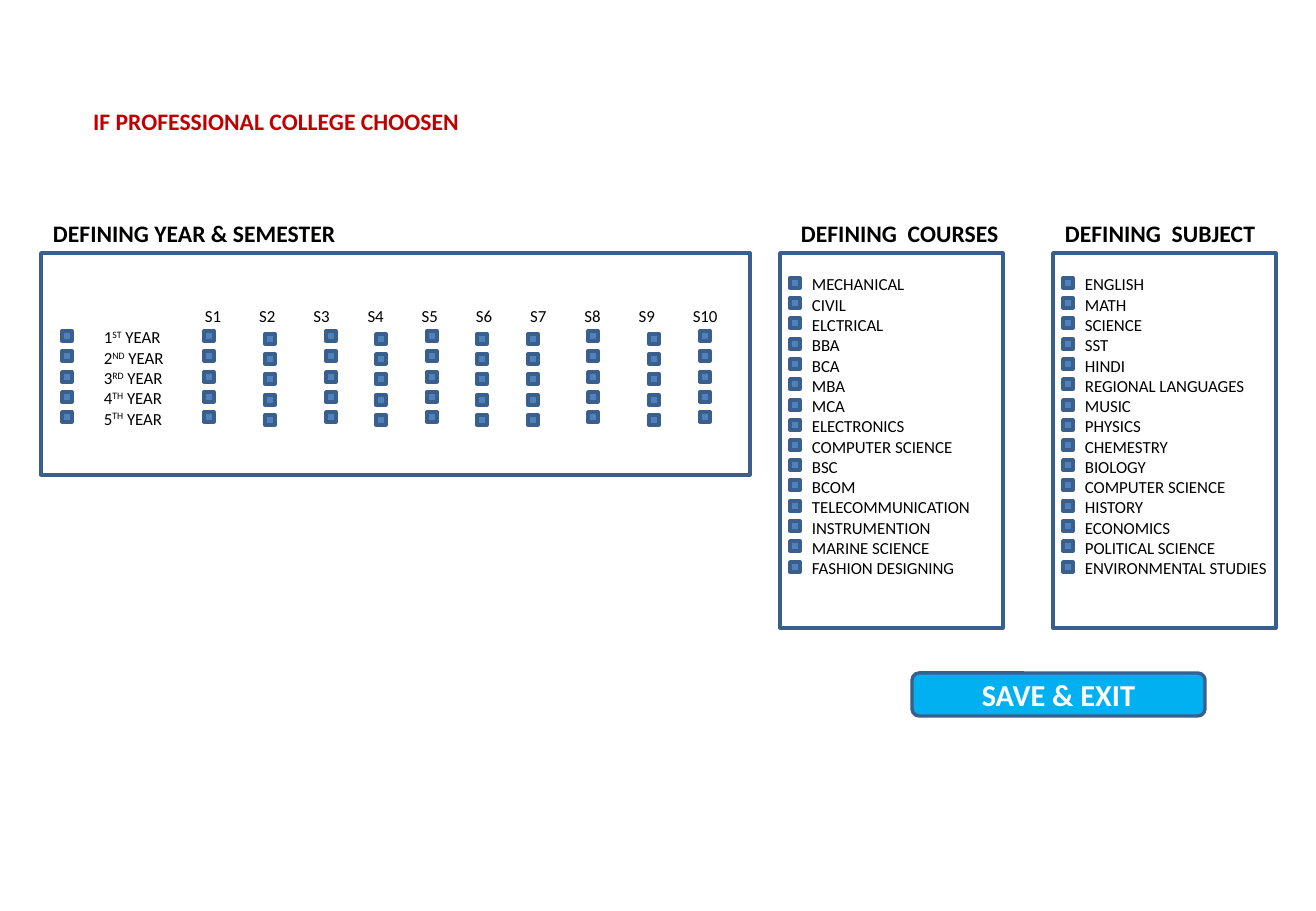
from pptx import Presentation
from pptx.dml.color import RGBColor
from pptx.enum.shapes import MSO_SHAPE
from pptx.enum.text import MSO_ANCHOR, MSO_AUTO_SIZE, PP_ALIGN
from pptx.util import Emu, Pt
from lxml.etree import SubElement
from pptx.oxml.ns import qn

EMU_PER_PX = 914400 / 121.5
COLORS = {"black": "000000", "white": "FFFFFF", "red": "C00000",
          "border": "3A5F8C", "check": "4F81BD", "button": "00B0F0"}
ROW_STEP = 20.25
CHECK_SIZE = 10


def px(value):
    return Emu(round(value * EMU_PER_PX))


def rgb(name):
    return RGBColor.from_string(COLORS[name])


class FormSlide:
    font_name = "Calibri"

    def __init__(self, deck):
        self.slide = deck.slides.add_slide(deck.slide_layouts[5])

    def format_text(self, frame, size, color, bold=False, align=PP_ALIGN.LEFT):
        for paragraph in frame.paragraphs:
            paragraph.alignment = align
            for run in paragraph.runs:
                run.font.name = self.font_name
                run.font.size = Pt(size)
                run.font.bold = bold
                run.font.color.rgb = rgb(color)

    def title(self, text, left, top, width, height):
        heading = self.slide.shapes.title
        heading.left, heading.top = px(left), px(top)
        heading.width, heading.height = px(width), px(height)
        frame = heading.text_frame
        frame.text = text
        frame.word_wrap = True
        frame.auto_size = MSO_AUTO_SIZE.NONE
        frame.vertical_anchor = MSO_ANCHOR.TOP
        self.format_text(frame, 14, "red", bold=True)

    def text(self, text, left, top, width, height, size=10, bold=False):
        label = self.slide.shapes.add_textbox(px(left), px(top), px(width), px(height))
        frame = label.text_frame
        frame.word_wrap = True
        frame.text = text
        self.format_text(frame, size, "black", bold)
        return frame

    def tabbed_text(self, words, step, *place):
        frame = self.text("\t".join(words), *place)
        tabs = SubElement(frame.paragraphs[0]._p.get_or_add_pPr(), qn("a:tabLst"))
        for column in range(1, len(words)):
            SubElement(tabs, qn("a:tab"), pos=str(px(column * step)), algn="l")

    def ordinals(self, endings, word, *place):
        frame = self.text("\n".join(str(n + 1) for n in range(len(endings))), *place)
        for paragraph, ending in zip(frame.paragraphs, endings):
            raised = paragraph.add_run()
            raised.text = ending
            raised._r.get_or_add_rPr().set("baseline", "30000")
            paragraph.add_run().text = f" {word}"
        self.format_text(frame, 10, "black")

    def box(self, left, top, width, height, fill="white", kind=MSO_SHAPE.RECTANGLE):
        shape = self.slide.shapes.add_shape(kind, px(left), px(top), px(width), px(height))
        shape.shadow.inherit = False
        shape.fill.solid()
        shape.fill.fore_color.rgb = rgb(fill)
        shape.line.color.rgb = rgb("border")
        shape.line.width = Pt(2)
        return shape

    def button(self, text, *place):
        frame = self.box(*place, fill="button", kind=MSO_SHAPE.ROUNDED_RECTANGLE).text_frame
        frame.text = text
        frame.vertical_anchor = MSO_ANCHOR.MIDDLE
        self.format_text(frame, 18, "white", bold=True, align=PP_ALIGN.CENTER)

    def checks(self, left, top, count):
        for row in range(count):
            self.box(left, round(top + row * ROW_STEP), CHECK_SIZE, CHECK_SIZE, fill="check")

    def checklist(self, heading, items, left, heading_left):
        self.box(left, 253, 223, 375)
        self.text(heading, heading_left, 213, 243, 40, size=14, bold=True)
        self.text("\n".join(items), left + 20, 268, 223, 319)
        self.checks(left + 10, 278, len(items))


deck = Presentation()
deck.slide_width, deck.slide_height = px(1316), px(911)
form = FormSlide(deck)
form.title("IF PROFESSIONAL COLLEGE CHOOSEN", 81, 101, 446, 41)

# Years and semesters
year_endings = ["ST", "ND", "RD", "TH", "TH"]
semester_lefts = [204, 265, 326, 376, 427, 477, 528, 588, 649, 700]
lowered_semesters = {2, 4, 6, 7, 9}
form.text("DEFINING YEAR & SEMESTER", 41, 213, 313, 40, size=14, bold=True)
form.box(41, 253, 709, 222)
form.ordinals(year_endings, "YEAR", 92, 321, 91, 114)
form.tabbed_text([f"S{n}" for n in range(1, 11)], 54.2, 193, 300, 638, 34)
form.checks(62, 331, len(year_endings))
for semester, left in enumerate(semester_lefts, 1):
    form.checks(left, 334 if semester in lowered_semesters else 331, len(year_endings))

# Courses and subjects
courses = ["MECHANICAL", "CIVIL", "ELCTRICAL", "BBA", "BCA", "MBA", "MCA",
           "ELECTRONICS", "COMPUTER SCIENCE", "BSC", "BCOM", "TELECOMMUNICATION",
           "INSTRUMENTION", "MARINE SCIENCE", "FASHION DESIGNING"]
subjects = ["ENGLISH", "MATH", "SCIENCE", "SST", "HINDI", "REGIONAL LANGUAGES",
            "MUSIC", "PHYSICS", "CHEMESTRY", "BIOLOGY", "COMPUTER SCIENCE",
            "HISTORY", "ECONOMICS", "POLITICAL SCIENCE", "ENVIRONMENTAL STUDIES"]
form.checklist("DEFINING  COURSES", courses, 780, 789)
form.checklist("DEFINING  SUBJECT", subjects, 1053, 1053)

# Closing button
form.button("SAVE & EXIT", 912, 673, 293, 43)

deck.save("out.pptx")
